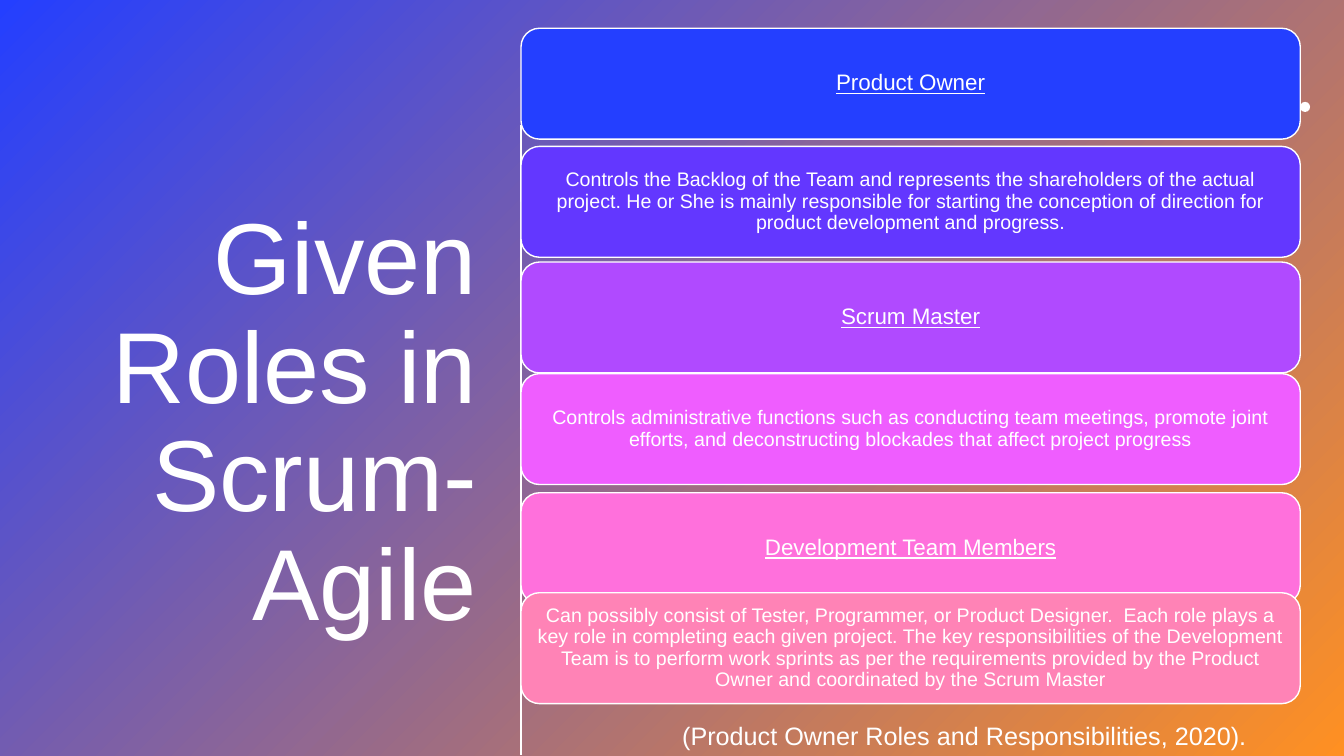
from dataclasses import dataclass

from lxml.etree import SubElement
from pptx import Presentation
from pptx.dml.color import RGBColor
from pptx.enum.shapes import MSO_CONNECTOR, MSO_SHAPE as Preset
from pptx.enum.text import MSO_ANCHOR as Anchor, PP_ALIGN as Align
from pptx.oxml.ns import qn
from pptx.util import Pt

WHITE = RGBColor(0xFF, 0xFF, 0xFF)
BLUE = RGBColor(0x24, 0x3F, 0xFF)
ORANGE = RGBColor(0xFF, 0x90, 0x22)
VIOLET = RGBColor(0x63, 0x37, 0xFF)
PURPLE = RGBColor(0xB0, 0x4A, 0xFF)
MAGENTA = RGBColor(0xEF, 0x5D, 0xFF)
PINK = RGBColor(0xFF, 0x70, 0xDC)
ROSE = RGBColor(0xFF, 0x83, 0xB6)

PAGE_WIDTH, PAGE_HEIGHT = 960, 540
CARD_LEFT, CARD_WIDTH, CARD_HEIGHT = 372.2, 556.6, 79.2


@dataclass(frozen=True)
class Card:
    top: float
    color: RGBColor
    text: str
    heading: bool = False


CARDS = [
    Card(20.2, BLUE, "Product Owner", heading=True),
    Card(104.6, VIOLET,
         "Controls the Backlog of the Team and represents the shareholders of the "
         "actual project. He or She is mainly responsible for starting the "
         "conception of direction for product development and progress."),
    Card(187.2, PURPLE, "Scrum Master", heading=True),
    Card(266.9, MAGENTA,
         "Controls administrative functions such as conducting team meetings, "
         "promote joint efforts, and deconstructing blockades that affect "
         "project progress"),
    Card(352, PINK, "Development Team Members", heading=True),
    Card(423.4, ROSE,
         "Can possibly consist of Tester, Programmer, or Product Designer.  Each "
         "role plays a key role in completing each given project. The key "
         "responsibilities of the Development Team is to perform work sprints as "
         "per the requirements provided by the Product Owner and coordinated by "
         "the Scrum Master"),
]


def add_preset(page, preset: Preset, left: float, top: float,
               width: float, height: float):
    """Add a preset shape without shadow or outline."""
    shape = page.shapes.add_shape(preset, Pt(left), Pt(top), Pt(width), Pt(height))
    shape.shadow.inherit = False
    shape.line.fill.background()
    return shape


def write(shape, text: str, size: float, align: Align, anchor: Anchor,
          line_spacing: float = 1.0, underline: bool = False) -> None:
    frame = shape.text_frame
    frame.word_wrap = True
    frame.vertical_anchor = anchor
    para = frame.paragraphs[0]
    para.text = text
    para.alignment = align
    para.line_spacing = line_spacing
    font = para.font
    font.name, font.size = "Arial", Pt(size)
    font.color.rgb = WHITE
    if underline:
        font.underline = True


def add_backdrop(page) -> None:
    backdrop = add_preset(page, Preset.RECTANGLE, 0, 0, PAGE_WIDTH, PAGE_HEIGHT)
    backdrop.fill.gradient()
    backdrop.fill.gradient_angle = 315
    for stop, color in zip(backdrop.fill.gradient_stops, (BLUE, ORANGE)):
        stop.color.rgb = color


def add_accents(page) -> None:
    """Draw the white dot and the vertical rule."""
    dot = add_preset(page, Preset.OVAL, 928.6, 72.8, 7.2, 7.2)
    dot.fill.solid()
    dot.fill.fore_color.rgb = WHITE
    rule = page.shapes.add_connector(
        MSO_CONNECTOR.STRAIGHT, Pt(CARD_LEFT), Pt(89), Pt(CARD_LEFT), Pt(539.5))
    rule.line.color.rgb = WHITE
    rule.line.width = Pt(2)
    SubElement(rule._element.spPr, qn("a:effectLst"))


def add_card(page, card: Card) -> None:
    box = add_preset(page, Preset.ROUNDED_RECTANGLE,
                     CARD_LEFT, card.top, CARD_WIDTH, CARD_HEIGHT)
    box.fill.solid()
    box.fill.fore_color.rgb = card.color
    box.line.color.rgb = WHITE
    box.line.width = Pt(1)
    frame = box.text_frame
    inset = Pt(4.8 if card.heading else 4.2)
    frame.margin_left = frame.margin_right = inset
    frame.margin_top = frame.margin_bottom = inset
    write(box, card.text, 16 if card.heading else 14, Align.CENTER,
          Anchor.MIDDLE, 0.9, underline=card.heading)


def main() -> None:
    deck = Presentation()
    deck.slide_width, deck.slide_height = Pt(PAGE_WIDTH), Pt(PAGE_HEIGHT)
    page = deck.slides.add_slide(deck.slide_layouts[6])
    add_backdrop(page)
    title = page.shapes.add_textbox(Pt(37.4), Pt(83.5), Pt(310.3), Pt(440))
    write(title, "Given Roles in Scrum-Agile", 72, Align.RIGHT, Anchor.MIDDLE, 0.9)
    add_accents(page)
    for card in CARDS:
        add_card(page, card)
    citation = page.shapes.add_textbox(Pt(480.2), Pt(511.2), Pt(460), Pt(28.8))
    write(citation, "(Product Owner Roles and Responsibilities, 2020).", 18,
          Align.LEFT, Anchor.TOP)
    deck.save("out.pptx")


if __name__ == "__main__":
    main()
